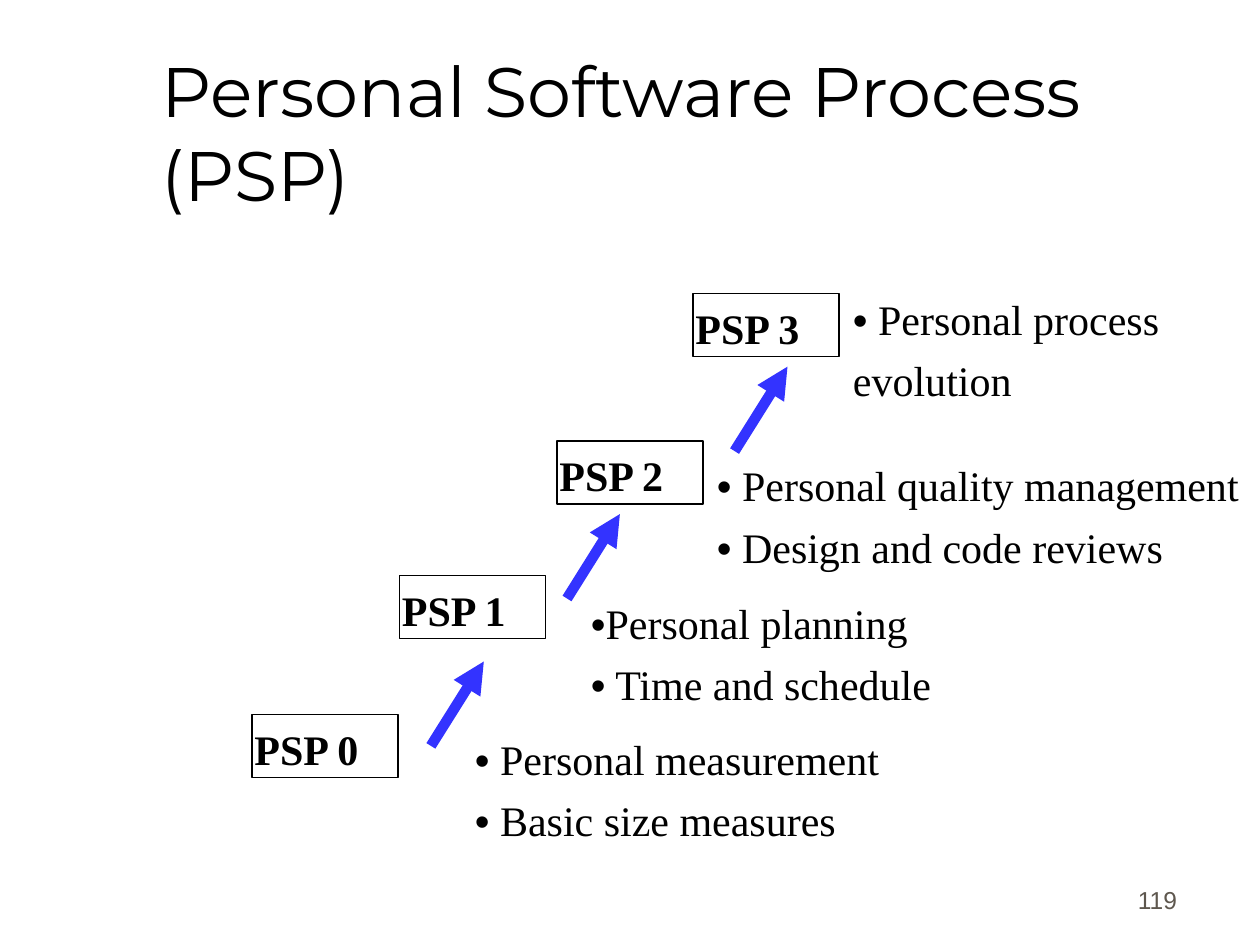
from pptx import Presentation
from pptx.dml.color import RGBColor
from pptx.enum.shapes import MSO_CONNECTOR, MSO_SHAPE
from pptx.enum.text import MSO_ANCHOR, PP_ALIGN
from pptx.oxml.ns import qn
from pptx.util import Inches, Pt
from lxml import etree

LEFT, RIGHT = PP_ALIGN.LEFT, PP_ALIGN.RIGHT
TOP, MIDDLE, BOTTOM = MSO_ANCHOR.TOP, MSO_ANCHOR.MIDDLE, MSO_ANCHOR.BOTTOM
BLACK, BLUE, GREY = "000000", "3333FF", "5E574E"
SERIF, SANS, TITLE_FONT = "Times New Roman", "Arial", "Montserrat"
BULLET = "•"

TITLE = "Personal Software Process (PSP)"
PAGE = "119"
# level name, box corner, notes corner, notes width, note lines
LEVELS = [
    ("PSP 0", (2, 5.67), (3.75, 5.75), 3.57,
     ["• Personal measurement", "• Basic size measures"]),
    ("PSP 1", (3.17, 4.57), (4.67, 4.67), 3.57,
     ["•Personal planning", "• Time and schedule"]),
    ("PSP 2", (4.42, 3.5), (5.67, 3.58), 4.5,
     ["• Personal quality management", "• Design and code reviews"]),
    ("PSP 3", (5.5, 2.33), (6.75, 2.26), 3.57,
     ["• Personal process", "evolution"]),
]
ARROW_STARTS = [(3.42, 5.92), (4.5, 4.75), (5.83, 3.58)]
BOX_SIZE = (1.16, 0.5)
NOTES_HEIGHT = 0.92
ARROW_RUN, ARROW_RISE = 0.42, 0.67


def rgb(value):
    return RGBColor.from_string(value)


def inches(*values):
    return [Inches(v) for v in values]


def write(shape, lines, font=SERIF, size=24, color=BLACK, bold=False, before=4.8,
          spacing=1.0, align=LEFT, anchor=TOP, inset=0.02):
    """Fill a shape with one paragraph per line; a leading bullet is set in Arial."""
    tf = shape.text_frame
    frame = {"word_wrap": True, "vertical_anchor": anchor,
             "margin_left": Inches(inset), "margin_right": Inches(inset),
             "margin_top": Inches(0.05), "margin_bottom": Inches(0.05)}
    for name, value in frame.items():
        setattr(tf, name, value)
    for i, line in enumerate(lines):
        p = tf.add_paragraph() if i else tf.paragraphs[0]
        p.alignment, p.space_before, p.line_spacing = align, Pt(before), spacing
        runs = [(line, font)]
        if line.startswith(BULLET):
            runs = [(BULLET, SANS), (line[len(BULLET):], font)]
        for text, face in runs:
            r = p.add_run()
            r.text = text
            r.font.name, r.font.size, r.font.bold = face, Pt(size), bold
            r.font.color.rgb = rgb(color)


def add_box(s, corner, name):
    box = s.shapes.add_shape(MSO_SHAPE.RECTANGLE, *inches(*corner, *BOX_SIZE))
    box.shadow.inherit = False
    box.fill.background()
    box.line.color.rgb = rgb(BLACK)
    box.line.width = Pt(0.75)
    write(box, [name], bold=True, before=13.1, spacing=1.05)


def add_arrow(s, x, y):
    arrow = s.shapes.add_connector(
        MSO_CONNECTOR.STRAIGHT, *inches(x, y, x + ARROW_RUN, y - ARROW_RISE))
    arrow.line.color.rgb = rgb(BLUE)
    arrow.line.width = Pt(6)
    etree.SubElement(arrow.line._get_or_add_ln(), qn("a:tailEnd"), type="triangle")
    etree.SubElement(arrow._element.spPr, qn("a:effectLst"))


def main():
    prs = Presentation()
    prs.slide_width, prs.slide_height = inches(10, 7.5)
    s = prs.slides.add_slide(prs.slide_layouts[5])

    title = s.shapes.title
    title.left, title.top, title.width, title.height = inches(1.26, 0.28, 8.51, 1.53)
    write(title, [TITLE], font=TITLE_FONT, size=40, anchor=MIDDLE)

    for name, corner, *_ in LEVELS:
        add_box(s, corner, name)
    for start in ARROW_STARTS:
        add_arrow(s, *start)
    for _, _, corner, width, lines in LEVELS:
        notes = s.shapes.add_textbox(*inches(*corner, width, NOTES_HEIGHT))
        write(notes, lines, spacing=1.05)

    number = s.shapes.add_textbox(*inches(7.36, 6.81, 2.08, 0.5))
    write(number, [PAGE], font=SANS, size=14, color=GREY, before=8.8,
          align=RIGHT, anchor=BOTTOM, inset=0.1)
    prs.save("out.pptx")


if __name__ == "__main__":
    main()
